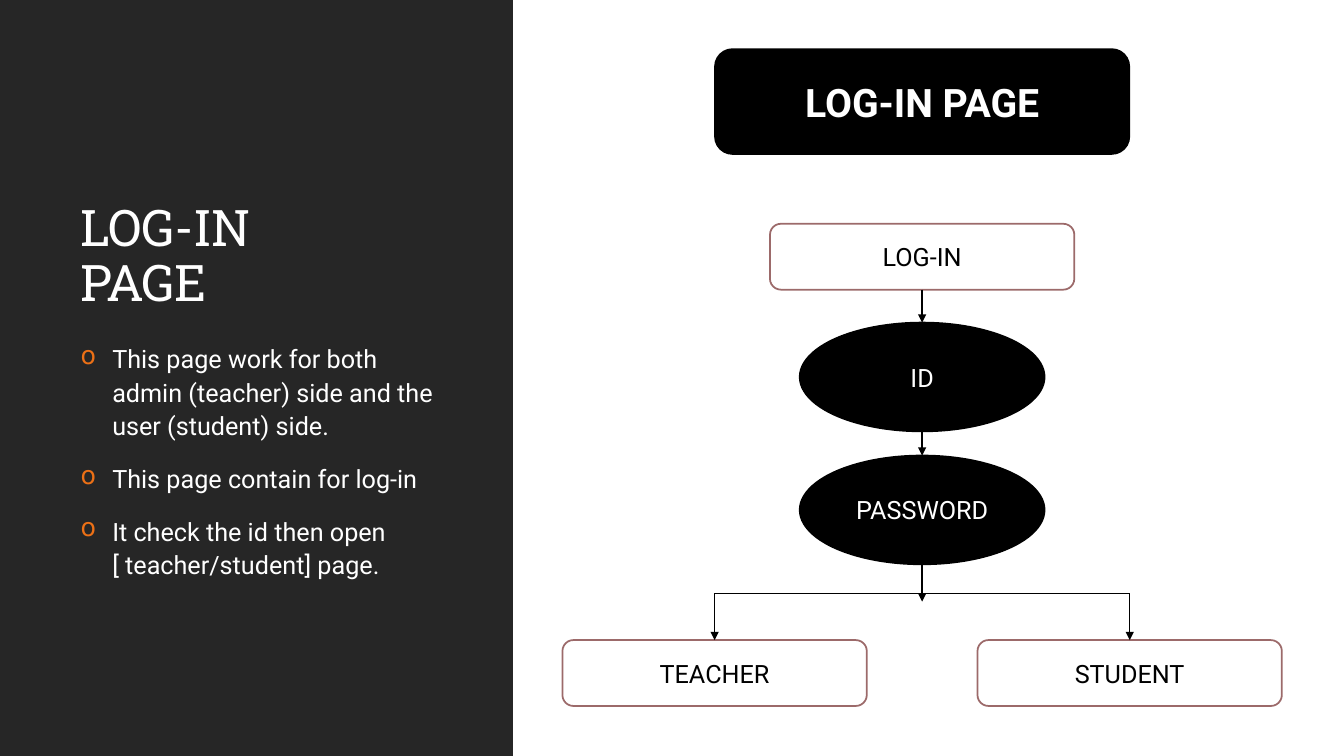
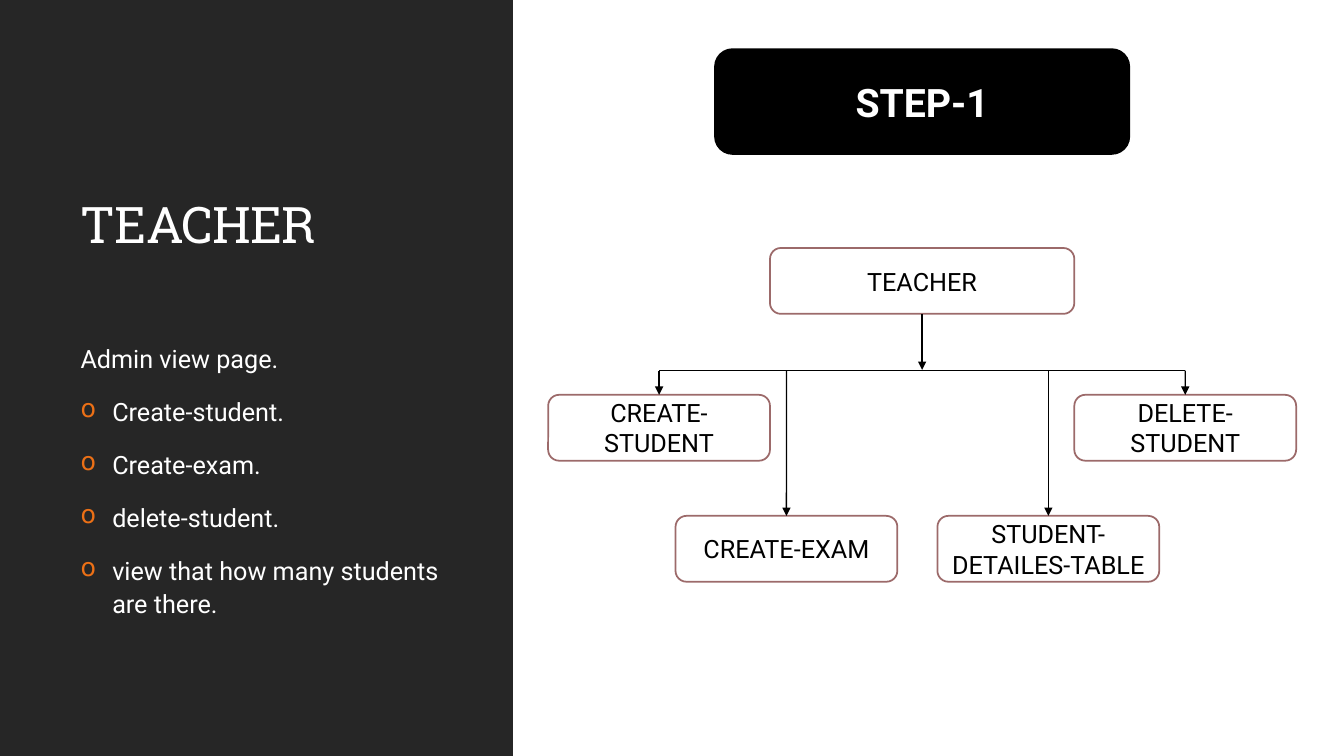
"""Build two slides that explain the log-in page and the teacher page."""
from copy import deepcopy

from lxml import etree
from pptx import Presentation
from pptx import util as u
from pptx.dml.color import RGBColor
from pptx.enum import shapes, text
from pptx.oxml.ns import qn

COLORS = {
    "band": "262626",
    "white": "FFFFFF",
    "black": "000000",
    "border": "9C6A6A",
    "bullet": "EC7016",
}
TITLE_FONT, BODY_FONT = "Roboto Slab", "Roboto"
WIDTH, HEIGHT = 33.87, 19.05
BAND_WIDTH = 12.93
TEXT_LEFT, TEXT_WIDTH = 1.78, 9.78
CENTER = 23.24
BANNER = (10.44, 2.64)
WIDE, NARROW = (7.67, 1.66), (5.59, 1.66)
OVAL = (6.17, 2.74)
ONE_LINE = 1.46


class Slides:
    """Hold the deck, its style and the current page."""

    def __init__(self):
        self.deck = Presentation()
        self.deck.slide_width = u.Cm(WIDTH)
        self.deck.slide_height = u.Cm(HEIGHT)
        self.layout = self.deck.slide_layouts[5]
        self.page = None

    def color(self, name):
        return RGBColor.from_string(COLORS[name])

    def style(self, para, size, color, font=BODY_FONT, bold=False):
        for span in para.runs:
            span.font.size = u.Pt(size)
            span.font.name = font
            span.font.bold = bold
            span.font.color.rgb = self.color(color)

    def add_page(self, title, lift=0):
        first = self.page is None
        self.page = self.deck.slides.add_slide(self.layout)
        if first:
            self.add_band()
        box = self.page.shapes.title
        box.left, box.top = u.Cm(TEXT_LEFT), u.Cm(2.18)
        box.width, box.height = u.Cm(TEXT_WIDTH), u.Cm(5.82)
        frame = box.text_frame
        frame.text = title
        frame.word_wrap = True
        frame.auto_size = text.MSO_AUTO_SIZE.NONE
        frame.vertical_anchor = text.MSO_ANCHOR.BOTTOM
        frame.margin_bottom = u.Cm(0.13 + lift)
        para = frame.paragraphs[0]
        para.alignment = text.PP_ALIGN.LEFT
        para.line_spacing = 0.9
        self.style(para, 36, "white", TITLE_FONT)
        for span in para.runs:
            span.font._element.set("spc", "-50")
        for line_break in para._p.findall(qn("a:br")):
            line_break.insert(0, deepcopy(para.runs[0].font._element))

    def add_band(self):
        band = self.add_shape("RECTANGLE", (0, 0, BAND_WIDTH, HEIGHT), "band")
        self.layout.shapes._spTree.insert(2, band._element)

    def add_shape(self, kind, place, fill, border=None):
        shape = self.page.shapes.add_shape(
            getattr(shapes.MSO_SHAPE, kind), *map(u.Cm, place))
        shape.shadow.inherit = False
        shape.fill.solid()
        shape.fill.fore_color.rgb = self.color(fill)
        if border:
            shape.line.color.rgb = self.color(border)
            shape.line.width = u.Pt(1.25)
        else:
            shape.line.fill.background()
        return shape

    def add_body(self, lines, intro=None):
        box = self.page.shapes.add_textbox(
            u.Cm(TEXT_LEFT), u.Cm(8.46), u.Cm(TEXT_WIDTH), u.Cm(8.51))
        frame = box.text_frame
        frame.word_wrap = True
        frame.text = "\n".join([intro] * bool(intro) + lines)
        for para in frame.paragraphs:
            para.line_spacing = 1.1
            para.space_before, para.space_after = u.Pt(12), u.Pt(2)
            self.style(para, 18, "white")
            if para.text != intro:
                self.add_bullet(para)

    def add_bullet(self, para):
        props = para._p.get_or_add_pPr()
        props.set("marL", str(u.Cm(0.8)))
        props.set("indent", str(-u.Cm(0.8)))
        tint = etree.SubElement(props, qn("a:buClr"))
        etree.SubElement(tint, qn("a:srgbClr")).set("val", COLORS["bullet"])
        etree.SubElement(props, qn("a:buChar")).set("char", "o")

    def add_node(self, label, top, size=WIDE, offset=0,
                 kind="ROUNDED_RECTANGLE", dark=False, points=18):
        width, height = size
        place = (CENTER + offset - width / 2, top, width, height)
        fill, border, ink = (("black", "black", "white") if dark
                             else ("white", "border", "black"))
        node = self.add_shape(kind, place, fill, border)
        frame = node.text_frame
        frame.text = label
        frame.word_wrap = True
        frame.vertical_anchor = text.MSO_ANCHOR.MIDDLE
        para = frame.paragraphs[0]
        para.alignment = text.PP_ALIGN.CENTER
        self.style(para, points, ink, bold=points > 18)
        return node

    def add_banner(self, label):
        self.add_node(label, 1.24, BANNER, dark=True, points=28)

    def add_oval(self, label, top):
        return self.add_node(label, top, OVAL, kind="OVAL", dark=True)

    def add_line(self, start, end, arrow=True):
        line = self.page.shapes.add_connector(
            shapes.MSO_CONNECTOR.STRAIGHT, *map(u.Cm, start + end))
        line.line.color.rgb = self.color("black")
        line.line.width = u.Pt(1)
        if arrow:
            outline = line.line._get_or_add_ln()
            etree.SubElement(outline, qn("a:tailEnd")).set("type", "triangle")
        etree.SubElement(line._element.spPr, qn("a:effectLst"))
        return line

    def add_fork(self, level, branches):
        offsets = [offset for offset, top, node in branches]
        self.add_line((CENTER + min(offsets), level),
                      (CENTER + max(offsets), level), arrow=False)
        for offset, top, node in branches:
            drop = self.add_line((CENTER + offset, level),
                                 (CENTER + offset, top))
            drop.end_connect(node, 0)


def build_login(slides):
    slides.add_page("LOG-IN\vPAGE")
    slides.add_body([
        "This page work for both admin (teacher) side and the user (student) side.",
        "This page contain for log-in",
        "It check the id then open [ teacher/student] page.",
    ])
    slides.add_banner("LOG-IN PAGE")
    login = slides.add_node("LOG-IN", 5.64)
    user_id = slides.add_oval("ID", 8.13)
    password = slides.add_oval("PASSWORD", 11.48)
    to_id = slides.add_line((CENTER, 7.3), (CENTER, 8.13))
    to_id.begin_connect(login, 2)
    to_id.end_connect(user_id, 0)
    slides.add_line((CENTER, 10.87), (CENTER, 11.48)).end_connect(password, 0)
    slides.add_line((CENTER, 14.22), (CENTER, 15.16))
    top = 16.13
    slides.add_fork(14.95, [
        (offset, top, slides.add_node(label, top, offset=offset))
        for label, offset in (("TEACHER", -5.23), ("STUDENT", 5.23))])


def build_teacher(slides):
    slides.add_page("TEACHER", lift=ONE_LINE)
    slides.add_body([
        "Create-student.",
        "Create-exam.",
        "delete-student.",
        "view that how many students are there.",
    ], intro="Admin view page.")
    slides.add_banner("STEP-1")
    teacher = slides.add_node("TEACHER", 6.25)
    slides.add_line((CENTER, 7.91), (CENTER, 9.32)).begin_connect(teacher, 2)
    tasks = (
        ("CREATE-STUDENT", -6.63, 9.95),
        ("CREATE-EXAM", -3.42, 13),
        ("STUDENT-DETAILES-TABLE", 3.18, 13),
        ("DELETE-STUDENT", 6.63, 9.95),
    )
    slides.add_fork(9.34, [
        (offset, top, slides.add_node(label, top, NARROW, offset))
        for label, offset, top in tasks])


def main():
    slides = Slides()
    build_login(slides)
    build_teacher(slides)
    slides.deck.save("out.pptx")


if __name__ == "__main__":
    main()
